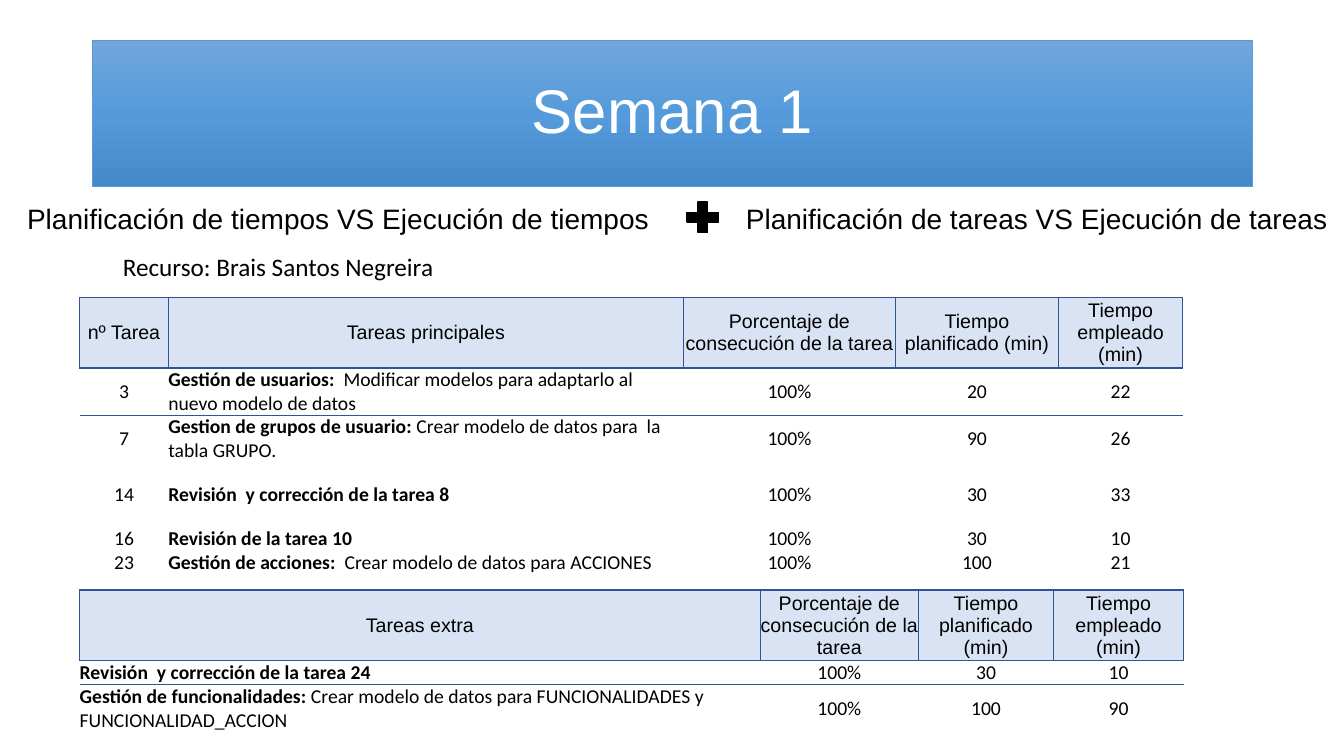
"""Build the Semana 1 slide comparing planned and spent time per task."""
from copy import deepcopy
from lxml import etree
from pptx import Presentation
from pptx.dml.color import RGBColor
from pptx.enum.shapes import MSO_SHAPE
from pptx.enum.text import MSO_ANCHOR, MSO_AUTO_SIZE, PP_ALIGN
from pptx.oxml.ns import qn
from pptx.util import Inches, Pt

COLORS = {"ink": "000000", "white": "FFFFFF", "head": "DAE3F3", "rule": "2F5597",
          "edge": "5B9BD5", "top": "71A6DB", "mid": "559BDB", "low": "448ACA"}
PLAIN = "{2D5ABB26-0587-4C30-8999-92F81FD0307C}"


def style(run, size, face, color="ink", bold=False):
    run.font.size = Pt(size)
    run.font.name = face
    run.font.bold = bold
    run.font.color.rgb = RGBColor.from_string(COLORS[color])


def rule(cell, sides):
    for side in sides:
        line = etree.SubElement(cell._tc.get_or_add_tcPr(), qn("a:ln" + side), w="12700")
        fill = etree.SubElement(line, qn("a:solidFill"))
        etree.SubElement(fill, qn("a:srgbClr"), val=COLORS["rule"])


deck = Presentation()
deck.slide_width, deck.slide_height = Inches(13.33), Inches(7.5)
slide = deck.slides.add_slide(deck.slide_layouts[5])
shapes = slide.shapes

title = shapes.title
title.left, title.top, title.width, title.height = map(Inches, (0.92, 0.4, 11.5, 1.45))
title.fill.gradient()
title.fill.gradient_angle = 270
first = title.fill.gradient_stops[0]._gs
first.addnext(deepcopy(first))
for stop, name, place in zip(title.fill.gradient_stops, ("top", "mid", "low"), (0, 0.5, 1)):
    stop.color.rgb = RGBColor.from_string(COLORS[name])
    stop.position = place
title.line.color.rgb = RGBColor.from_string(COLORS["edge"])
title.line.width = Pt(0.5)
title.text_frame.text = "Semana 1"
title.text_frame.vertical_anchor = MSO_ANCHOR.MIDDLE
para = title.text_frame.paragraphs[0]
para.alignment = PP_ALIGN.CENTER
para.line_spacing = 0.9
style(para.runs[0], 44, "Arial", "white")

labels = [
    ("Recurso: Brais Santos Negreira", (1.12, 2.44, 3.67, 0.4), 18, "Calibri"),
    ("Planificación de tareas VS Ejecución de tareas", (7.3, 1.95, 6.04, 0.44), 20, "Arial"),
    ("Planificación de tiempos VS Ejecución de tiempos", (0.17, 1.95, 6.47, 0.44), 20, "Arial"),
]
for text, area, size, face in labels:
    frame = shapes.add_textbox(*map(Inches, area)).text_frame
    frame.word_wrap = True
    frame.auto_size = MSO_AUTO_SIZE.SHAPE_TO_FIT_TEXT
    frame.text = text
    style(frame.paragraphs[0].runs[0], size, face)

plus = shapes.add_shape(MSO_SHAPE.MATH_PLUS, *map(Inches, (6.76, 1.95, 0.42, 0.41)))
plus.shadow.inherit = False
plus.fill.solid()
plus.fill.fore_color.rgb = plus.line.color.rgb = RGBColor.from_string(COLORS["ink"])
plus.line.width = Pt(1)

heads = ["Porcentaje de consecución de la tarea", "Tiempo planificado (min)",
         "Tiempo empleado (min)"]
main = [
    ["nº Tarea", "Tareas principales", *heads],
    ["3", ("Gestión de usuarios:", "  Modificar modelos para adaptarlo al nuevo modelo de datos"),
     "100%", "20", "22"],
    ["7", ("Gestion de grupos de usuario: ", "Crear modelo de datos para  la tabla GRUPO. "),
     "100%", "90", "26"],
    ["14", ("Revisión  y corrección de la tarea 8",), "100%", "30", "33"],
    ["16", ("Revisión de la tarea 10 ",), "100%", "30", "10"],
    ["23", ("Gestión de acciones: ", " Crear modelo de datos para ACCIONES"),
     "100%", "100", "21"],
]
extra = [
    [""] * 4,
    ["Tareas extra", *heads],
    [("Revisión  y corrección de la tarea 24",), "100%", "30", "10"],
    [("Gestión de funcionalidades:",
      " Crear modelo de datos para FUNCIONALIDADES y FUNCIONALIDAD_ACCION"),
     "100%", "100", "90"],
]
grids = [
    (main, 0, 2.95, (0.88, 5.11, 2.1, 1.62, 1.23), (0.7, 0.47, 0.47, 0.64, 0.23, 0.23)),
    (extra, 1, 5.62, (6.75, 1.57, 1.34, 1.29), (0.23, 0.7, 0.24, 0.47)),
]
for rows, head, top, widths, heights in grids:
    table = shapes.add_table(len(rows), len(widths), Inches(0.79), Inches(top),
                             Inches(sum(widths)), Inches(sum(heights))).table
    table.first_row = table.horz_banding = False
    table._tbl.tblPr[0].text = PLAIN
    for col, width in zip(table.columns, widths):
        col.width = Inches(width)
    for at, (row, height) in enumerate(zip(rows, heights)):
        table.rows[at].height = Inches(height)
        for cell, text in zip(table.rows[at].cells, row):
            cell.margin_left = cell.margin_right = cell.margin_top = cell.margin_bottom = 0
            cell.vertical_anchor = MSO_ANCHOR.MIDDLE
            rule(cell, {head - 1: "B", head: "LRTB", head + 1: "T"}.get(at, ""))
            if at == head:
                cell.fill.solid()
                cell.fill.fore_color.rgb = RGBColor.from_string(COLORS["head"])
            else:
                cell.fill.background()
            para = cell.text_frame.paragraphs[0]
            task = isinstance(text, tuple)
            para.alignment = PP_ALIGN.LEFT if task else PP_ALIGN.CENTER
            if not text:
                para._p.get_or_add_endParaRPr().set("sz", "1400")
                continue
            for part, words in enumerate(text if task else [text]):
                run = para.add_run()
                run.text = words
                style(run, 14, "Arial" if at == head else "Calibri", bold=task and part == 0)

deck.save("out.pptx")
